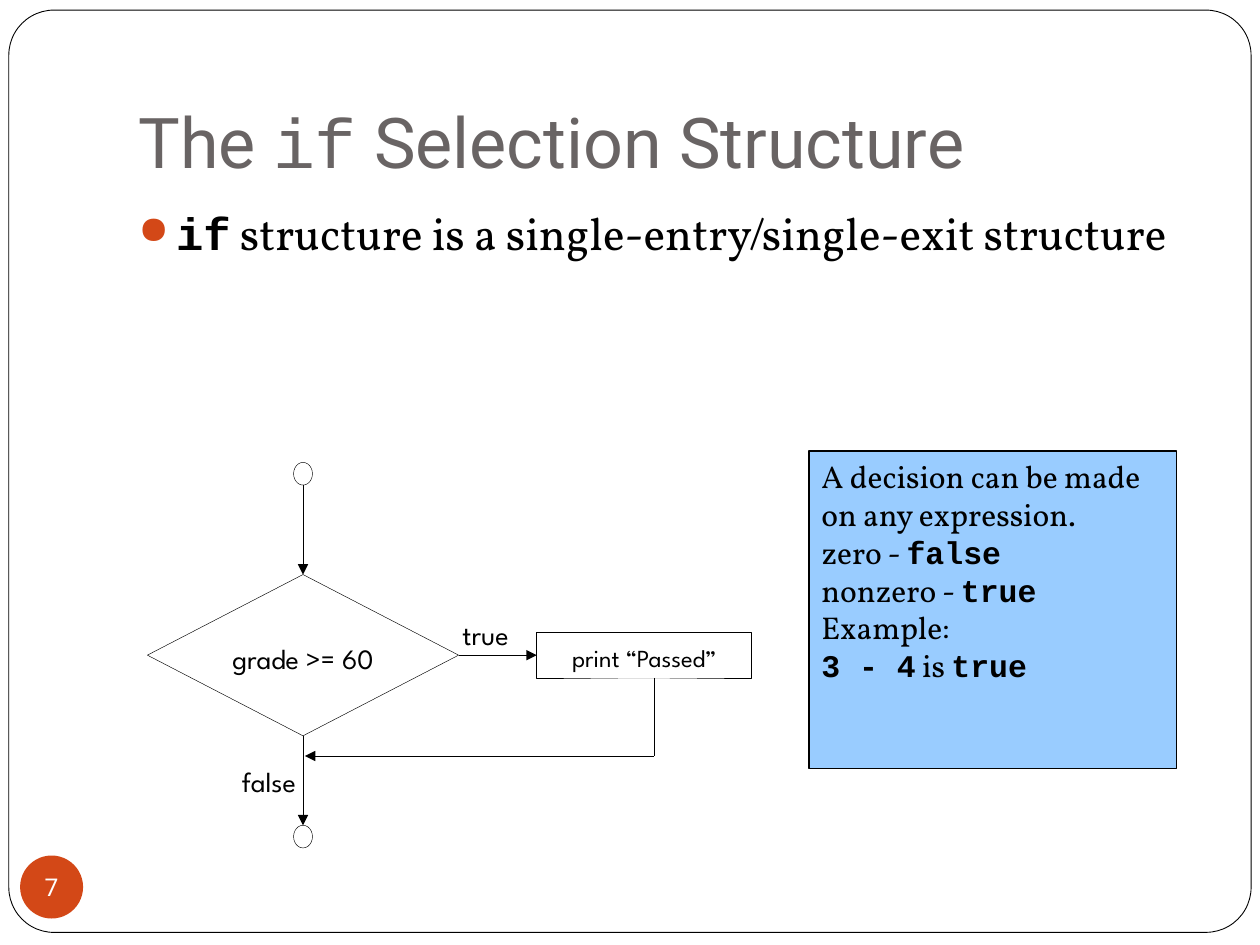
from dataclasses import dataclass

from lxml import etree
from pptx import Presentation
from pptx import util as u
from pptx.dml.color import RGBColor
from pptx.enum import shapes, text
from pptx.oxml.ns import qn

# Grid: 100 columns by 75 rows, each a tenth of an inch
COLUMNS, ROWS = 100, 75
SLIDE_WIDTH, SLIDE_HEIGHT = u.Inches(10), u.Inches(7.5)


@dataclass(frozen=True)
class Theme:
    ink: str = "000000"
    paper: str = "FFFFFF"
    heading: str = "696464"
    accent: str = "D34817"
    note: str = "99CCFF"
    sans: str = "Roboto"
    serif: str = "Vollkorn"
    label: str = "League Spartan"
    code: str = "Courier New"
    title_size: float = 40
    body_size: float = 26
    note_size: float = 18
    label_size: float = 16
    small_size: float = 14
    hairline: float = 0.25
    frame_line: float = 0.5
    note_line: float = 0.75


THEME = Theme()
SHAPE = shapes.MSO_SHAPE
ALIGN = text.PP_ALIGN
ANCHOR = text.MSO_ANCHOR
PADDING = (1, 0.5, 1, 0.5)
NO_PADDING = (0, 0, 0, 0)


def column(count):
    return round(SLIDE_WIDTH * count / COLUMNS)


def row(count):
    return round(SLIDE_HEIGHT * count / ROWS)


def place(left, top, width, height):
    return column(left), row(top), column(width), row(height)


def colour(value):
    return RGBColor.from_string(value)


def add_figure(slide, kind, box, fill=None, line=None, width=THEME.hairline):
    shape = slide.shapes.add_shape(kind, *place(*box))
    shape.shadow.inherit = False
    if fill:
        shape.fill.solid()
        shape.fill.fore_color.rgb = colour(fill)
    else:
        shape.fill.background()
    if line:
        shape.line.color.rgb = colour(line)
        shape.line.width = u.Pt(width)
    else:
        shape.line.fill.background()
    return shape


def write(shape, paragraphs, size, ink=THEME.ink, align=ALIGN.LEFT,
          anchor=ANCHOR.TOP, padding=PADDING, wrap=True):
    """Each paragraph is a list of (words, font) pairs; code is bold below the title."""
    frame = shape.text_frame
    frame.word_wrap = wrap
    frame.vertical_anchor = anchor
    left, top, right, bottom = padding
    frame.margin_left, frame.margin_right = column(left), column(right)
    frame.margin_top, frame.margin_bottom = row(top), row(bottom)
    for index, pieces in enumerate(paragraphs):
        paragraph = frame.add_paragraph() if index else frame.paragraphs[0]
        paragraph.alignment = align
        for words, font in pieces:
            run = paragraph.add_run()
            run.text = words
            run.font.name = font
            run.font.size = u.Pt(size)
            run.font.bold = font == THEME.code and size < THEME.title_size
            run.font.color.rgb = colour(ink)
    return frame


def add_text(slide, box, paragraphs, size, **style):
    return write(slide.shapes.add_textbox(*place(*box)), paragraphs, size, **style)


def add_label(slide, box, words, size=THEME.label_size, align=ALIGN.LEFT):
    add_text(slide, box, [[(words, THEME.label)]], size, align=align, padding=NO_PADDING)


def add_bullet(paragraph):
    paragraph.space_before = u.Pt(5.8)
    properties = paragraph._p.get_or_add_pPr()
    properties.set("marL", str(column(3)))
    properties.set("indent", str(-column(3)))
    tint = etree.SubElement(properties, qn("a:buClr"))
    etree.SubElement(tint, qn("a:srgbClr"), val=THEME.accent)
    etree.SubElement(properties, qn("a:buSzPct"), val="85000")
    etree.SubElement(properties, qn("a:buChar"), char="●")


def add_line(slide, start, end, arrow=True):
    connector = slide.shapes.add_connector(
        shapes.MSO_CONNECTOR.STRAIGHT,
        column(start[0]), row(start[1]), column(end[0]), row(end[1]))
    connector.line.color.rgb = colour(THEME.ink)
    connector.line.width = u.Pt(THEME.hairline)
    if arrow:
        etree.SubElement(connector.line._get_or_add_ln(), qn("a:tailEnd"), type="triangle")
    etree.SubElement(connector._element.spPr, qn("a:effectLst"))


def add_frame(slide):
    frame = add_figure(slide, SHAPE.ROUNDED_RECTANGLE, (0.7, 0.8, 98.6, 73.2),
                       THEME.paper, THEME.ink, THEME.frame_line)
    frame.adjustments[0] = 0.049
    badge = add_figure(slide, SHAPE.OVAL, (1.6, 67.9, 5, 5), THEME.accent)
    write(badge, [[("7", THEME.sans)]], THEME.small_size, THEME.paper, ALIGN.CENTER,
          ANCHOR.MIDDLE, NO_PADDING, wrap=False)


def add_headings(slide):
    add_text(slide, (10, 3, 85, 12.5),
             [[("The ", THEME.sans), ("if", THEME.code),
               (" Selection Structure", THEME.sans)]],
             THEME.title_size, ink=THEME.heading, anchor=ANCHOR.BOTTOM,
             padding=(1, 0.5, 1, 1))
    body = add_text(slide, (10, 15.8, 85, 50),
                    [[("if", THEME.code),
                      (" structure is a single-entry/single-exit structure", THEME.serif)]],
                    THEME.body_size)
    add_bullet(body.paragraphs[0])


def add_flowchart(slide):
    axis, middle, merge = 24.05, 52, 60
    decision_top, decision_height, decision_width = 45.6, 12.8, 24.7
    decision_bottom = decision_top + decision_height
    decision_right = axis + decision_width / 2
    action_left, action_width, action_height = 42.6, 17, 3.6
    action_bottom = middle + action_height / 2
    return_column = 51.9
    dot_width, dot_height, entry_top, exit_top = 1.5, 1.8, 36.7, 65.5

    # Entry, exit, decision and action
    for top in (entry_top, exit_top):
        add_figure(slide, SHAPE.OVAL, (axis - dot_width / 2, top, dot_width, dot_height),
                   line=THEME.ink)
    add_figure(slide, SHAPE.DIAMOND,
               (axis - decision_width / 2, decision_top, decision_width, decision_height),
               THEME.paper, THEME.ink)
    add_figure(slide, SHAPE.RECTANGLE,
               (action_left, middle - action_height / 2, action_width, action_height),
               line=THEME.ink)

    # Flow lines
    add_line(slide, (axis, entry_top + dot_height), (axis, decision_top))
    add_line(slide, (axis, decision_bottom), (axis, exit_top))
    add_line(slide, (decision_right, middle), (action_left, middle))
    add_line(slide, (return_column, action_bottom), (return_column, merge), arrow=False)
    add_line(slide, (return_column, merge), (axis + 0.15, merge))

    # Labels
    add_label(slide, (36.7, 49, 5.5, 3.6), "true")
    add_label(slide, (19.2, 60.7, 6.7, 3.6), "false")
    add_label(slide, (17.1, 50.9, 13.9, 2.7), "grade >= 60", align=ALIGN.CENTER)
    add_label(slide, (43.7, 51, 14.9, 2.5), "print “Passed”", THEME.small_size, ALIGN.CENTER)


def add_note(slide):
    note = add_figure(slide, SHAPE.RECTANGLE, (64.2, 35.8, 29.2, 25.2),
                      THEME.note, THEME.ink, THEME.note_line)
    write(note, [
        [("A decision can be made on any expression.", THEME.serif)],
        [("zero - ", THEME.serif), ("false", THEME.code)],
        [("nonzero - ", THEME.serif), ("true", THEME.code)],
        [("Example:", THEME.serif)],
        [("3 - 4", THEME.code), (" is ", THEME.serif), ("true", THEME.code)],
    ], THEME.note_size)


def main():
    presentation = Presentation()
    presentation.slide_width, presentation.slide_height = SLIDE_WIDTH, SLIDE_HEIGHT
    slide = presentation.slides.add_slide(presentation.slide_layouts[6])
    add_frame(slide)
    add_headings(slide)
    add_flowchart(slide)
    add_note(slide)
    presentation.save("out.pptx")


main()
